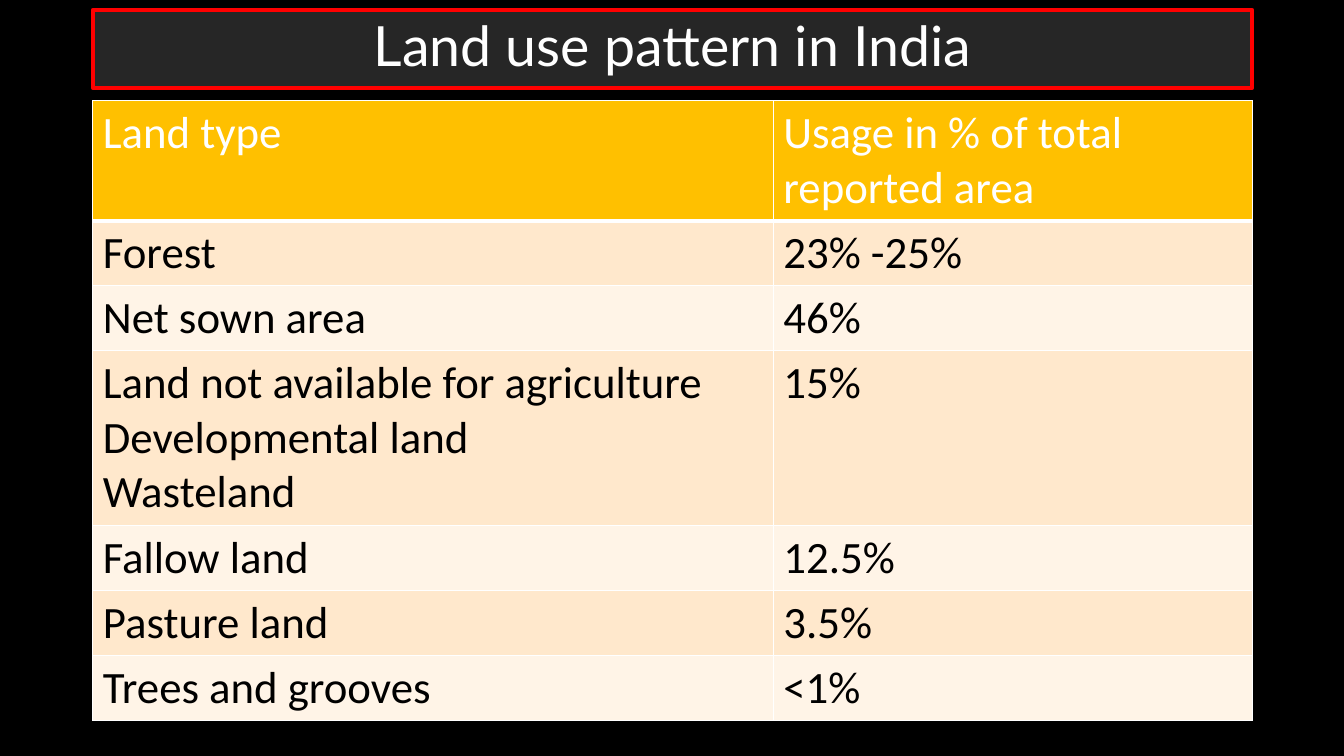
import pptx
import pptx.util
import pptx.dml.color
import pptx.enum.text
import pptx.oxml
import pptx.oxml.ns

Inches, Pt = pptx.util.Inches, pptx.util.Pt

COLORS = {
    "background": "000000", "banner": "262626", "banner_line": "FF0000",
    "header": "FFC000", "odd_row": "FFE8CC", "even_row": "FFF4E7",
    "light_text": "FFFFFF", "dark_text": "000000", "border": "FFFFFF",
}

# Shared column of the slide, and the table's measures in inches
LEFT, WIDTH = 0.92, 11.5
COLUMN_WIDTHS = (6.75, 4.75)
LINE_HEIGHT, CELL_PADDING = 0.545, 0.1

# Land type, usage, and number of text lines in the row
LAND_USE = [
    ("Land type", "Usage in % of total reported area", 2),
    ("Forest", "23% -25%", 1),
    ("Net sown area", "46%", 1),
    ("Land not available for agriculture\nDevelopmental land\nWasteland", "15%", 3),
    ("Fallow land", "12.5%", 1),
    ("Pasture land", "3.5%", 1),
    ("Trees and grooves", "<1%", 1),
]


def rgb(part):
    return pptx.dml.color.RGBColor.from_string(COLORS[part])


def paint(fill, part):
    fill.solid()
    fill.fore_color.rgb = rgb(part)


def format_text(frame, color, **font_values):
    for paragraph in frame.paragraphs:
        for run in paragraph.runs:
            run.font.color.rgb = rgb(color)
            for attribute, value in font_values.items():
                setattr(run.font, attribute, value)


def add_borders(cell, bottom_width):
    properties = cell._tc.get_or_add_tcPr()
    widths = {"lnL": 1, "lnR": 1, "lnT": 1, "lnB": bottom_width}
    for side, width in widths.items():
        properties.append(pptx.oxml.parse_xml(
            f'<a:{side} {pptx.oxml.ns.nsdecls("a")} w="{Pt(width)}"><a:solidFill>'
            f'<a:srgbClr val="{COLORS["border"]}"/></a:solidFill></a:{side}>'))


def fill_banner(banner, text):
    box = {"left": LEFT, "top": 0.1, "width": WIDTH, "height": 0.77}
    for attribute, value in box.items():
        setattr(banner, attribute, Inches(value))
    paint(banner.fill, "banner")
    paint(banner.line.fill, "banner_line")
    banner.line.width = Pt(3)

    frame = banner.text_frame
    frame.text = text
    frame.auto_size = pptx.enum.text.MSO_AUTO_SIZE.NONE
    frame.vertical_anchor = pptx.enum.text.MSO_ANCHOR.MIDDLE
    heading = frame.paragraphs[0]
    heading.alignment = pptx.enum.text.PP_ALIGN.CENTER
    heading.line_spacing = 0.9
    format_text(frame, "light_text", name="Lato", size=Pt(39.6), bold=False)


def add_land_table(slide, records):
    heights = [lines * LINE_HEIGHT + CELL_PADDING for *_, lines in records]
    table = slide.shapes.add_table(
        len(records), len(COLUMN_WIDTHS), Inches(LEFT), Inches(1),
        Inches(WIDTH), Inches(sum(heights))).table
    for column, width in zip(table.columns, COLUMN_WIDTHS):
        column.width = Inches(width)

    for index, (*texts, _) in enumerate(records):
        is_header = index == 0
        band = "header" if is_header else "odd_row" if index % 2 else "even_row"
        table.rows[index].height = Inches(heights[index])
        for cell, text in zip(table.rows[index].cells, texts):
            cell.text = text
            add_borders(cell, 3 if is_header else 1)
            paint(cell.fill, band)
            format_text(cell.text_frame, "light_text" if is_header else "dark_text",
                        name="Calibri", size=Pt(32), bold=False)


def main():
    deck = pptx.Presentation()
    deck.slide_width, deck.slide_height = Inches(13.33), Inches(7.5)
    slide = deck.slides.add_slide(deck.slide_layouts.get_by_name("Title Only"))
    paint(slide.background.fill, "background")

    # Land use table below the title banner
    add_land_table(slide, LAND_USE)
    fill_banner(slide.shapes.title, "Land use pattern in India")

    deck.save("out.pptx")


main()
